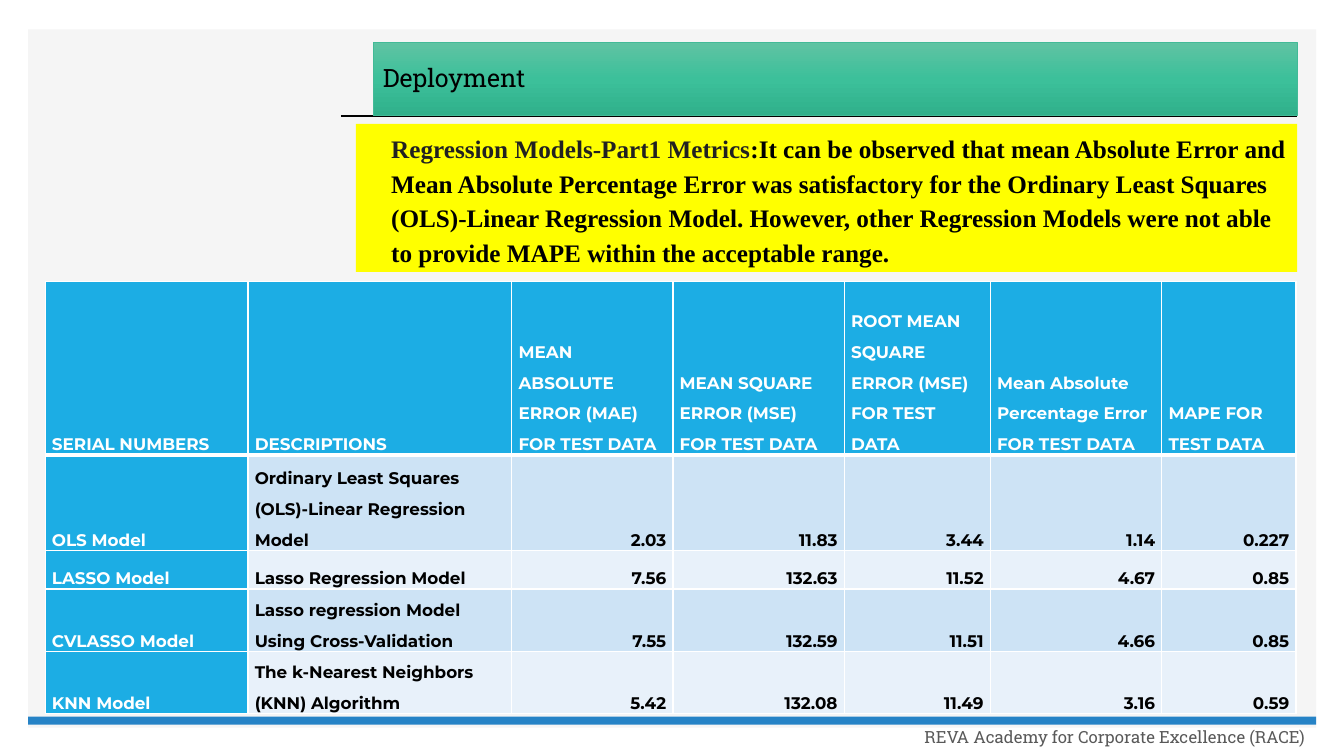
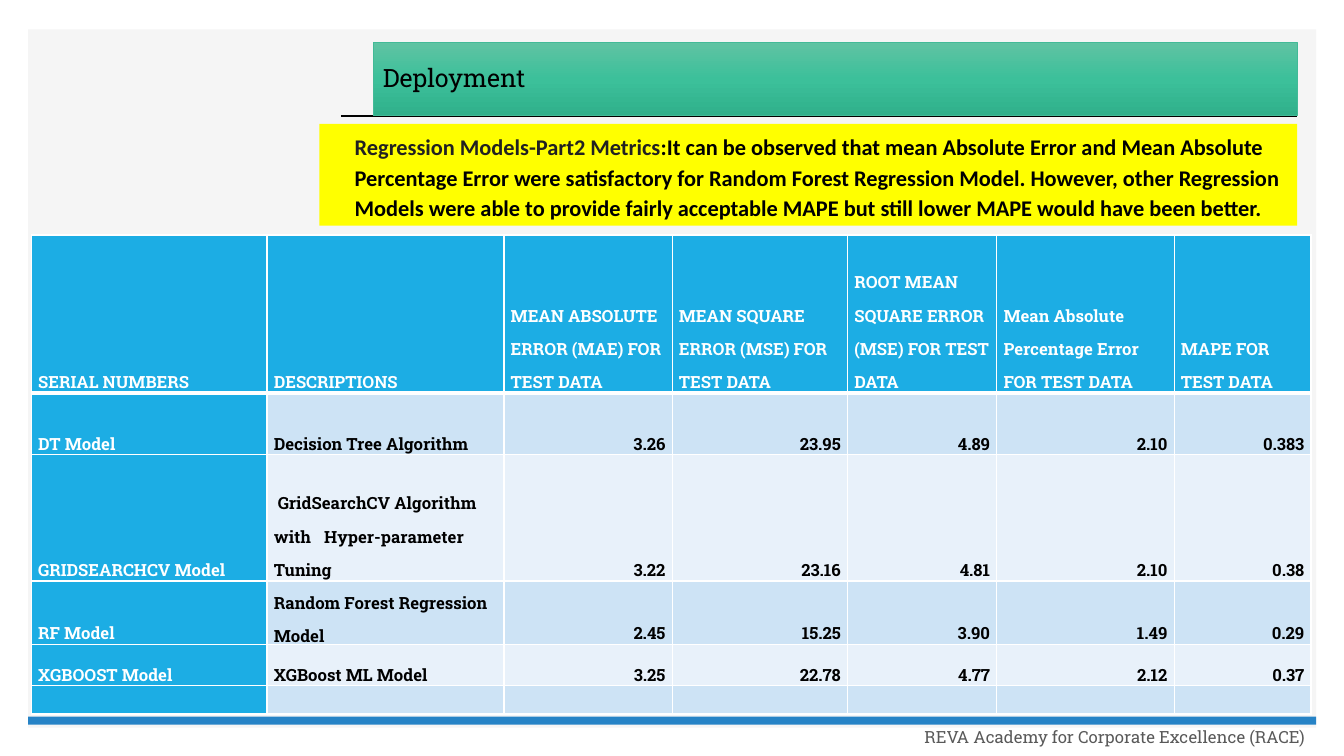
from copy import deepcopy

from lxml.etree import SubElement
from pptx import Presentation
from pptx.dml.color import RGBColor as RGB
from pptx.enum.shapes import MSO_CONNECTOR as CONNECTOR, MSO_SHAPE as SHAPE
from pptx.enum.text import MSO_ANCHOR as ANCHOR, PP_ALIGN as ALIGN
from pptx.oxml.ns import qn
from pptx.util import Cm, Pt

COLORS = {
    "panel": "F5F5F5", "bar": "2683C6", "footer": "595959",
    "title_top": "5FC3A3", "title_middle": "3CC09A", "title_bottom": "30B08B",
    "title_line": "42BA97", "note": "FFFF00", "note_lead": "212121",
    "header": "1CADE4", "odd_row": "CDE3F5", "even_row": "E8F1FA",
    "black": "000000", "white": "FFFFFF",
}
SLAB = "Roboto Slab"
RIGHT_EDGE = 32.69
HEADERS = [
    "SERIAL NUMBERS", "DESCRIPTIONS", "MEAN ABSOLUTE ERROR (MAE) FOR TEST DATA",
    "MEAN SQUARE ERROR (MSE) FOR TEST DATA",
    "ROOT MEAN SQUARE ERROR (MSE) FOR TEST DATA",
    "Mean Absolute Percentage Error FOR TEST DATA", "MAPE FOR TEST DATA",
]
PAGES = [
    {
        "note_left": 8.97, "note_height": 3.73,
        "note_font": {"name": "Times New Roman", "size": Pt(18), "bold": True},
        "lead": "Regression Models-Part1 Metrics",
        "finding": ":It can be observed that mean Absolute Error and Mean Absolute "
                   "Percentage Error was satisfactory for the Ordinary Least Squares "
                   "(OLS)-Linear Regression Model. However, other Regression Models were "
                   "not able to provide MAPE within the acceptable range.",
        "table_at": (1.14, 7.09), "table_font": "Montserrat",
        "columns": [5.11, 6.65, 4.06, 4.32, 3.68, 4.32, 3.38],
        "heights": [4.37, 2.41, 0.97, 1.57, 1.57],
        "rows": [
            ["OLS Model", "Ordinary Least Squares (OLS)-Linear Regression Model",
             "2.03", "11.83", "3.44", "1.14", "0.227"],
            ["LASSO Model", "Lasso Regression Model",
             "7.56", "132.63", "11.52", "4.67", "0.85"],
            ["CVLASSO Model", "Lasso regression Model Using Cross-Validation",
             "7.55", "132.59", "11.51", "4.66", "0.85"],
            ["KNN Model", "The k-Nearest Neighbors (KNN) Algorithm",
             "5.42", "132.08", "11.49", "3.16", "0.59"],
        ],
    },
    {
        "note_left": 8.05, "note_height": 2.57,
        "note_font": {"name": "Calibri", "size": Pt(16), "bold": True},
        "lead": "Regression Models-Part2 Metrics",
        "finding": ":It can be observed that mean Absolute Error and Mean Absolute "
                   "Percentage Error were satisfactory for Random Forest Regression "
                   "Model. However, other Regression Models were able to provide fairly "
                   "acceptable MAPE but still lower MAPE would have been better.",
        "table_at": (0.79, 5.92), "table_font": SLAB,
        "columns": [5.94, 5.97, 4.24, 4.42, 3.76, 4.47, 3.45],
        "heights": [3.99, 1.55, 3.18, 1.6, 1.04, 0.71],
        "rows": [
            ["DT Model", "Decision Tree Algorithm",
             "3.26", "23.95", "4.89", "2.10", "0.383"],
            ["GRIDSEARCHCV Model", "GridSearchCV Algorithm with\tHyper-parameter Tuning",
             "3.22", "23.16", "4.81", "2.10", "0.38"],
            ["RF Model", "Random Forest Regression Model",
             "2.45", "15.25", "3.90", "1.49", "0.29"],
            ["XGBOOST Model", "XGBoost ML Model",
             "3.25", "22.78", "4.77", "2.12", "0.37"],
            [""] * len(HEADERS),
        ],
    },
]


def add_box(slide, left, top, width, height, color):
    shape = slide.shapes.add_shape(SHAPE.RECTANGLE, Cm(left), Cm(top), Cm(width), Cm(height))
    shape.shadow.inherit = False
    shape.fill.solid()
    shape.fill.fore_color.rgb = RGB.from_string(COLORS[color])
    shape.line.fill.background()
    shape.text_frame.word_wrap = True
    return shape


def add_text(paragraph, text, color, font, spacing, align=ALIGN.LEFT):
    paragraph.line_spacing = spacing
    paragraph.alignment = align
    run = paragraph.add_run()
    run.text = text
    for name, value in font.items():
        setattr(run.font, name, value)
    run.font.color.rgb = RGB.from_string(COLORS[color])


presentation = Presentation()
presentation.slide_width, presentation.slide_height = Cm(33.87), Cm(19.05)

for page in PAGES:
    slide = presentation.slides.add_slide(presentation.slide_layouts[6])

    # Panel, title rule and bottom bar
    add_box(slide, 0.71, 0.74, 32.46, 17.6, "panel")
    rule = slide.shapes.add_connector(
        CONNECTOR.STRAIGHT, Cm(8.59), Cm(2.92), Cm(RIGHT_EDGE), Cm(2.92))
    rule.line.width = Pt(1)
    rule.line.color.rgb = RGB.from_string(COLORS["black"])
    SubElement(rule._element.spPr, qn("a:effectLst"))
    add_box(slide, 0.71, 18.06, 32.46, 0.2, "bar")

    # Footer
    footer = slide.shapes.add_textbox(Cm(22.1), Cm(17.98), Cm(11.05), Cm(1.22)).text_frame
    footer.word_wrap = True
    footer.vertical_anchor = ANCHOR.MIDDLE
    add_text(footer.paragraphs[0], "REVA Academy for Corporate Excellence (RACE)",
             "footer", {"name": SLAB, "size": Pt(12)}, 0.9, ALIGN.RIGHT)

    # Title band with a three-stop gradient
    title = add_box(slide, 9.4, 1.07, RIGHT_EDGE - 9.4, 1.85, "title_middle")
    title.fill.gradient()
    title.fill.gradient_angle = 270
    stop_list = title._element.spPr.find(".//" + qn("a:gsLst"))
    stop_list.insert(1, deepcopy(stop_list[0]))
    stop_colors = ["title_top", "title_middle", "title_bottom"]
    for index, (stop, color) in enumerate(zip(title.fill.gradient_stops, stop_colors)):
        stop.position = index / 2
        stop.color.rgb = RGB.from_string(COLORS[color])
    title.line.width = Pt(0.5)
    title.line.color.rgb = RGB.from_string(COLORS["title_line"])
    title.text_frame.vertical_anchor = ANCHOR.MIDDLE
    add_text(title.text_frame.paragraphs[0], "Deployment", "black",
             {"name": SLAB, "size": Pt(18)}, 0.9)

    # Highlighted finding
    note = add_box(slide, page["note_left"], 3.12, RIGHT_EDGE - page["note_left"],
                   page["note_height"], "note")
    note.text_frame.vertical_anchor = ANCHOR.TOP
    paragraph = note.text_frame.paragraphs[0]
    paragraph._p.get_or_add_pPr().set("marL", str(Cm(0.64)))
    for text, color in [(page["lead"], "note_lead"), (page["finding"], "black")]:
        add_text(paragraph, text, color, page["note_font"], 1.15)

    # Metrics table
    left, top = page["table_at"]
    rows = [HEADERS] + page["rows"]
    table = slide.shapes.add_table(
        len(rows), len(HEADERS), Cm(left), Cm(top),
        Cm(sum(page["columns"])), Cm(sum(page["heights"]))).table
    table.first_col = True
    for column, width in zip(table.columns, page["columns"]):
        column.width = Cm(width)
    for row, height in zip(table.rows, page["heights"]):
        row.height = Cm(height)
    cell_font = {"name": page["table_font"], "size": Pt(12), "bold": True}

    for row_index, texts in enumerate(rows):
        for column_index, text in enumerate(texts):
            cell = table.cell(row_index, column_index)
            is_header = row_index == 0 or column_index == 0
            cell_format = {
                "vertical_anchor": ANCHOR.BOTTOM, "margin_left": Cm(0.17),
                "margin_right": Cm(0.17), "margin_top": 0, "margin_bottom": 0,
            }
            for name, value in cell_format.items():
                setattr(cell, name, value)

            # White borders, thicker around the header's lower edge
            properties = cell._tc.get_or_add_tcPr()
            for side in "LRTB":
                thick = (row_index, side) in [(0, "B"), (1, "T")]
                border = SubElement(properties, qn("a:ln" + side), w=str(Pt(3 if thick else 1)))
                SubElement(SubElement(border, qn("a:solidFill")), qn("a:srgbClr"),
                           val=COLORS["white"])
            band = "odd_row" if row_index % 2 else "even_row"
            cell.fill.solid()
            cell.fill.fore_color.rgb = RGB.from_string(COLORS["header" if is_header else band])

            paragraph = cell.text_frame.paragraphs[0]
            if not text:
                SubElement(paragraph._p, qn("a:endParaRPr"), sz="1200")
                continue
            if "\t" in text:
                paragraph_properties = paragraph._p.get_or_add_pPr()
                paragraph_properties.set("indent", str(Cm(0.1)))
                tabs = SubElement(paragraph_properties, qn("a:tabLst"))
                SubElement(tabs, qn("a:tab"), pos=str(Cm(3)), algn="l")
            is_number = row_index > 0 and column_index > 1
            add_text(paragraph, text, "white" if is_header else "black", cell_font, 1.5,
                     ALIGN.RIGHT if is_number else ALIGN.LEFT)

presentation.save("out.pptx")
